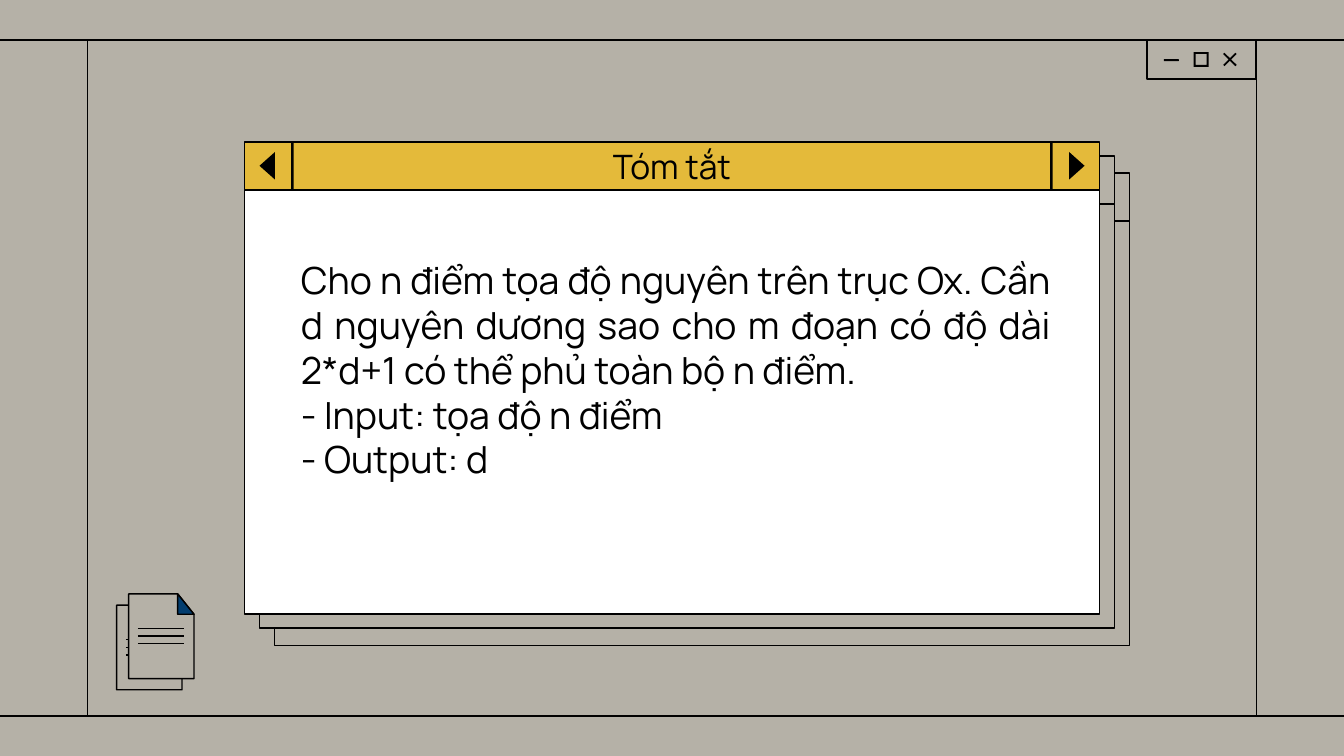
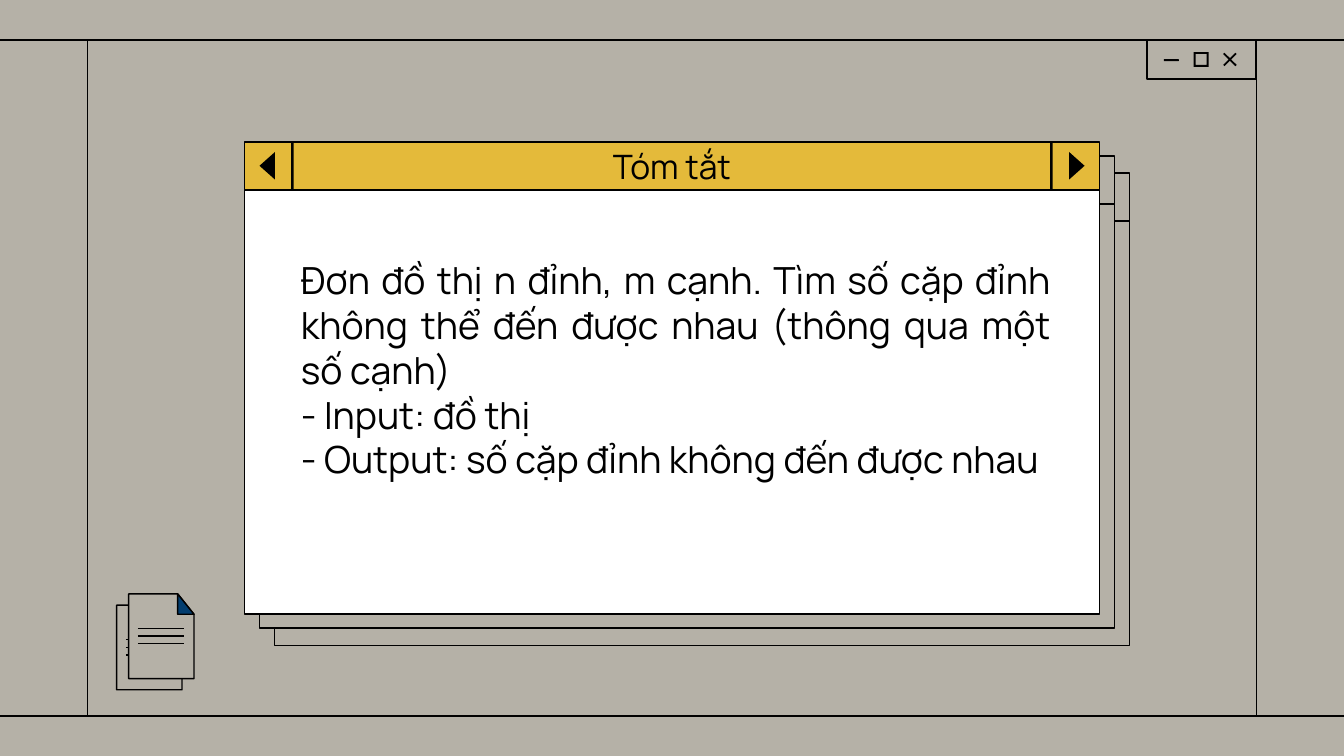
"""Build two summary slides styled as stacked retro windows."""
from dataclasses import dataclass

from lxml import etree
from pptx import Presentation
from pptx.dml.color import RGBColor
from pptx.enum.shapes import MSO_CONNECTOR, MSO_SHAPE
from pptx.enum.text import MSO_ANCHOR, MSO_AUTO_SIZE, PP_ALIGN
from pptx.oxml.ns import qn
from pptx.util import Pt

RECT, FRAME, PILL = MSO_SHAPE.RECTANGLE, MSO_SHAPE.FRAME, MSO_SHAPE.ROUNDED_RECTANGLE
STRAIGHT = MSO_CONNECTOR.STRAIGHT
TOP, MIDDLE = MSO_ANCHOR.TOP, MSO_ANCHOR.MIDDLE
CENTER, JUSTIFY = PP_ALIGN.CENTER, PP_ALIGN.JUSTIFY
NO_FIT = MSO_AUTO_SIZE.NONE

SUMMARIES = [
    ("Tóm tắt", [
        "Cho n điểm tọa độ nguyên trên trục Ox. Cần d nguyên dương sao cho m đoạn "
        "có độ dài 2*d+1 có thể phủ toàn bộ n điểm.",
        "- Input: tọa độ n điểm",
        "- Output: d",
    ]),
    ("Tóm tắt", [
        "Đơn đồ thị n đỉnh, m cạnh. Tìm số cặp đỉnh không thể đến được nhau "
        "(thông qua một số cạnh)",
        "- Input: đồ thị",
        "- Output: số cặp đỉnh không đến được nhau",
    ]),
]


@dataclass(frozen=True)
class Theme:
    ground: RGBColor = RGBColor(0xB5, 0xB1, 0xA7)
    ink: RGBColor = RGBColor(0, 0, 0)
    paper: RGBColor = RGBColor(0xFF, 0xFF, 0xFF)
    gold: RGBColor = RGBColor(0xE4, 0xBA, 0x3A)
    navy: RGBColor = RGBColor(0x02, 0x3D, 0x6F)
    font: str = "Manrope"
    title_size: int = 18
    body_size: int = 20
    stroke: float = 0.75


THEME = Theme()
SLIDE_W, SLIDE_H = 720, 405
FRAME_LEFT, FRAME_RIGHT, FRAME_TOP, FRAME_BOTTOM, BLEED = 46.8, 673.2, 21.5, 383.5, 2
CONTROLS = (614.5, 21.5, 58.3, 20.8)
CONTROL_MID = 31.9
WINDOW_W, BAR_H, PANE_H = 458, 25.7, 227.3
STACK = [(147, 92.7, None, None), (139, 83.5, THEME.ground, THEME.ground),
         (131, 76, THEME.gold, THEME.paper)]
DIVIDER_INSET, DIVIDER_W = 25, 1.4
ARROW_INSET, ARROW_W, ARROW_H = 8, 8.3, 14.8
BODY = (154.08, 108, 416.16, 203.76)
INSET, BODY_LINE = 7.2, 24
PAGE_W, PAGE_H, FOLD_W, FOLD_H = 35, 45.4, 8.7, 10.9
PAGES = [(62.5, 324.2), (68.9, 318.2)]
RULE_INSET, RULE_W, RULE_TOP, RULE_GAP, RULES = 5, 24.5, 18.5, 4.1, 3
CROSS_ARM, CROSS_HALF = 3.6, 0.7


def paint(shape, fill, line):
    """Give a shape its fill and outline, either of which may be absent."""
    shape.shadow.inherit = False
    if fill is None:
        shape.fill.background()
    else:
        shape.fill.solid()
        shape.fill.fore_color.rgb = fill
    if line is None:
        shape.line.fill.background()
    else:
        shape.line.color.rgb = line
        shape.line.width = Pt(THEME.stroke)


def block(slide, box, fill, line=None, preset=RECT):
    """Add a painted preset shape."""
    shape = slide.shapes.add_shape(preset, *map(Pt, box))
    paint(shape, fill, line)
    return shape


def polygon(slide, points, fill, line=None):
    """Add a closed outline through the points."""
    corners = [(Pt(x), Pt(y)) for x, y in points]
    builder = slide.shapes.build_freeform(*corners[0])
    builder.add_line_segments(corners[1:], close=True)
    paint(builder.convert_to_shape(), fill, line)


def rule(slide, x1, y1, x2, y2):
    """Add a thin straight line without a shadow."""
    connector = slide.shapes.add_connector(STRAIGHT, *map(Pt, (x1, y1, x2, y2)))
    connector.line.color.rgb = THEME.ink
    connector.line.width = Pt(THEME.stroke)
    etree.SubElement(connector.element.spPr, qn("a:effectLst"))


def write(shape, paragraphs, size, align, anchor, bottom=INSET):
    """Fill a text frame and format its paragraphs."""
    frame = shape.text_frame
    frame.text = "\n".join(paragraphs)
    layout = {"word_wrap": True, "auto_size": NO_FIT, "vertical_anchor": anchor,
              "margin_left": Pt(INSET), "margin_right": Pt(INSET),
              "margin_top": Pt(INSET), "margin_bottom": Pt(bottom)}
    for name, value in layout.items():
        setattr(frame, name, value)
    for paragraph in frame.paragraphs:
        paragraph.alignment = align
        for name, value in {"name": THEME.font, "size": Pt(size), "bold": False}.items():
            setattr(paragraph.font, name, value)
        paragraph.font.color.rgb = THEME.ink


def draw_desktop(slide):
    """Draw the outer frame and its window controls."""
    block(slide, CONTROLS, THEME.ground, THEME.ink)
    block(slide, (623.5, CONTROL_MID - 0.2, 8, 1.1), THEME.ink, preset=PILL)
    maximise = block(slide, (639.5, CONTROL_MID - 4, 8, 8), THEME.ink, preset=FRAME)
    maximise.adjustments[0] = 0.13
    arm, half, shoulder = CROSS_ARM, CROSS_HALF, CROSS_ARM - CROSS_HALF
    quarter = [(half, 0), (arm, shoulder), (shoulder, arm)]
    cross = []
    for _ in range(4):
        cross += quarter
        quarter = [(-y, x) for x, y in quarter]
    polygon(slide, [(658.9 + x, CONTROL_MID + y) for x, y in cross], THEME.ink)
    for y in (FRAME_TOP, FRAME_BOTTOM):
        rule(slide, -BLEED, y, SLIDE_W + BLEED, y)
    for x in (FRAME_LEFT, FRAME_RIGHT):
        rule(slide, x, FRAME_BOTTOM, x, FRAME_TOP)


def draw_windows(slide, heading):
    """Draw the window stack, with the slide title as the front bar."""
    for left, top, bar_fill, pane_fill in STACK:
        bar = (left, top, WINDOW_W, BAR_H)
        block(slide, (left, top + BAR_H, WINDOW_W, PANE_H), pane_fill, THEME.ink)
        if (left, top) != STACK[-1][:2]:
            block(slide, bar, bar_fill, THEME.ink)
    title = slide.shapes.title
    title.element.getparent().append(title.element)
    for name, value in zip(("left", "top", "width", "height"), bar):
        setattr(title, name, Pt(value))
    title.fill.solid()
    title.fill.fore_color.rgb = bar_fill
    title.line.color.rgb = THEME.ink
    title.line.width = Pt(THEME.stroke)
    write(title, [heading], THEME.title_size, CENTER, MIDDLE)

    middle = top + BAR_H / 2
    for edge, inward in ((left, 1), (left + WINDOW_W, -1)):
        divider = edge + inward * (DIVIDER_INSET + DIVIDER_W / 2)
        block(slide, (divider - DIVIDER_W / 2, top, DIVIDER_W, BAR_H), THEME.ink)
        tip = edge + inward * ARROW_INSET
        base = tip + inward * ARROW_W
        polygon(slide, [(tip, middle), (base, middle - ARROW_H / 2),
                        (base, middle + ARROW_H / 2)], THEME.ink)


def draw_pages(slide):
    """Draw the pair of ruled pages, the front one with a folded corner."""
    for left, top in PAGES:
        right, bottom = left + PAGE_W, top + PAGE_H
        fold = [(right - FOLD_W, top), (right, top + FOLD_H)]
        polygon(slide, [(left, top), *fold, (right, bottom), (left, bottom)],
                THEME.ground, THEME.ink)
        for index in range(RULES):
            y = top + RULE_TOP + index * RULE_GAP
            rule(slide, left + RULE_INSET, y, left + RULE_INSET + RULE_W, y)
    polygon(slide, [*fold, (right - FOLD_W, top + FOLD_H)], THEME.navy, THEME.ink)


def main():
    """Build and save the presentation."""
    deck = Presentation()
    deck.slide_width, deck.slide_height = Pt(SLIDE_W), Pt(SLIDE_H)
    ground = deck.slide_master.background.fill
    ground.solid()
    ground.fore_color.rgb = THEME.ground
    for heading, statement in SUMMARIES:
        slide = deck.slides.add_slide(deck.slide_layouts.get_by_name("Title Only"))
        draw_desktop(slide)
        draw_windows(slide, heading)
        body = slide.shapes.add_textbox(*map(Pt, BODY))
        write(body, statement, THEME.body_size, JUSTIFY, MIDDLE, INSET + BODY_LINE)
        draw_pages(slide)
    deck.save("out.pptx")


if __name__ == "__main__":
    main()
